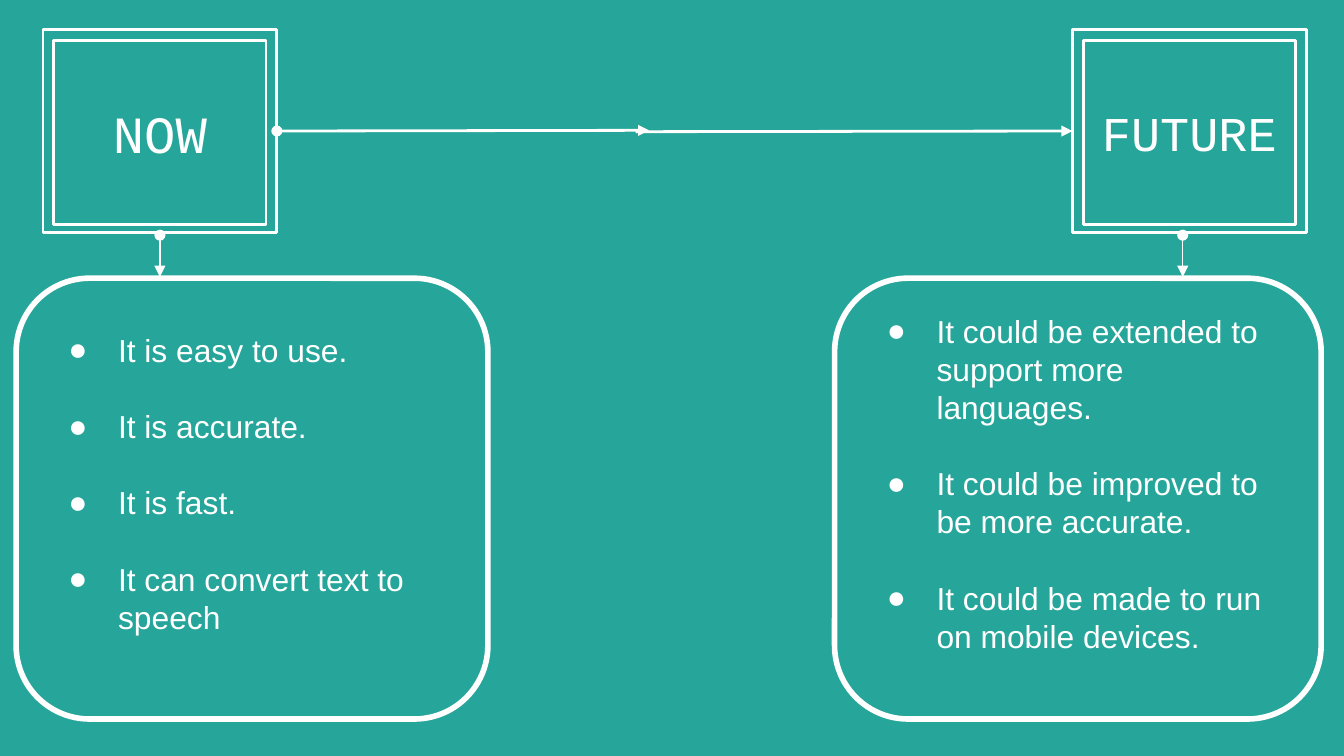
from dataclasses import dataclass

from lxml.etree import SubElement
from pptx import Presentation
from pptx.dml.color import RGBColor
from pptx.enum.shapes import MSO_CONNECTOR, MSO_SHAPE
from pptx.enum.text import MSO_ANCHOR, PP_ALIGN
from pptx.oxml.ns import qn
from pptx.util import Inches, Pt


@dataclass(frozen=True)
class Theme:
    teal: RGBColor = RGBColor(0x26, 0xA6, 0x9A)
    white: RGBColor = RGBColor(0xFF, 0xFF, 0xFF)
    mono: str = "Courier New"
    sans: str = "Arial"
    body: float = 17
    gap: float = 20.4
    thin: float = 0.75
    line: float = 1.5
    thick: float = 3


def write(para, text, font, size, color, align=PP_ALIGN.LEFT):
    para.alignment = align
    run = para.add_run()
    run.text = text
    run.font.name = font
    run.font.size = Pt(size)
    run.font.color.rgb = color


def bullet(para, font, color):
    """Give the paragraph a hanging round bullet."""
    props = para._p.get_or_add_pPr()
    props.set("marL", str(Inches(0.5)))
    props.set("indent", str(Inches(-0.37)))
    fill = SubElement(props, qn("a:buClr"))
    SubElement(fill, qn("a:srgbClr"), val=str(color))
    SubElement(props, qn("a:buFont"), typeface=font)
    SubElement(props, qn("a:buChar"), char="●")


class Board:
    def __init__(self, slide, theme):
        self.slide = slide
        self.theme = theme
        fill = slide.background.fill
        fill.solid()
        fill.fore_color.rgb = theme.teal

    def box(self, kind, left, top, width, height, line):
        shape = self.slide.shapes.add_shape(
            kind, Inches(left), Inches(top), Inches(width), Inches(height))
        shape.shadow.inherit = False
        shape.fill.solid()
        shape.fill.fore_color.rgb = self.theme.teal
        shape.line.color.rgb = self.theme.white
        shape.line.width = Pt(line)
        frame = shape.text_frame
        frame.word_wrap = True
        frame.vertical_anchor = MSO_ANCHOR.MIDDLE
        frame.margin_left = frame.margin_right = Inches(0.1)
        frame.margin_top = frame.margin_bottom = Inches(0.1)
        return shape

    def badge(self, left, text, size):
        """Draw a double-framed title and return its outer frame."""
        look = self.theme
        outer = self.box(MSO_SHAPE.RECTANGLE, left, 0.22, 1.74, 1.51, look.line)
        inner = self.box(MSO_SHAPE.RECTANGLE, left + 0.08, 0.3, 1.58, 1.37, look.line)
        write(inner.text_frame.paragraphs[0], text, font=look.mono, size=size,
              color=look.white, align=PP_ALIGN.CENTER)
        return outer

    def panel(self, left, width, items):
        look = self.theme
        shape = self.box(MSO_SHAPE.ROUNDED_RECTANGLE, left, 2.07, width, 3.28, look.thick)
        frame = shape.text_frame
        frame.margin_bottom = Inches(0.33)
        for rank, item in enumerate(items):
            para = frame.paragraphs[0] if rank == 0 else frame.add_paragraph()
            if rank:
                para.space_before = Pt(look.gap)
            write(para, item, font=look.sans, size=look.body, color=look.white)
            bullet(para, look.sans, look.white)

    def arrow(self, start, end, width, dot=True):
        ends = [Inches(v) for v in (*start, *end)]
        link = self.slide.shapes.add_connector(MSO_CONNECTOR.STRAIGHT, *ends)
        link.line.color.rgb = self.theme.white
        link.line.width = Pt(width)
        stroke = link.line._get_or_add_ln()
        if dot:
            SubElement(stroke, qn("a:headEnd"), type="oval")
        SubElement(stroke, qn("a:tailEnd"), type="triangle")
        SubElement(link._element.spPr, qn("a:effectLst"))
        return link


def main():
    deck = Presentation()
    deck.slide_width = Inches(10)
    deck.slide_height = deck.slide_width * 9 // 16
    theme = Theme()
    board = Board(deck.slides.add_slide(deck.slide_layouts[6]), theme)

    now = board.badge(0.32, "NOW", 28)
    future = board.badge(7.98, "FUTURE", 26)
    board.arrow((2.06, 0.98), (4.83, 0.97), theme.line).begin_connect(now, 3)
    board.arrow((4.73, 0.98), (7.98, 0.97), theme.line, dot=False).end_connect(future, 1)

    board.panel(0.12, 3.51, [
        "It is easy to use.",
        "It is accurate.",
        "It is fast.",
        "It can convert text to speech",
    ])
    board.panel(6.21, 3.62, [
        "It could be extended to support more languages.",
        "It could be improved to be more accurate.",
        "It could be made to run on mobile devices.",
    ])
    for x in (8.8, 1.19):
        board.arrow((x, 1.75), (x, 2.06), theme.thin)

    deck.save("out.pptx")


if __name__ == "__main__":
    main()
